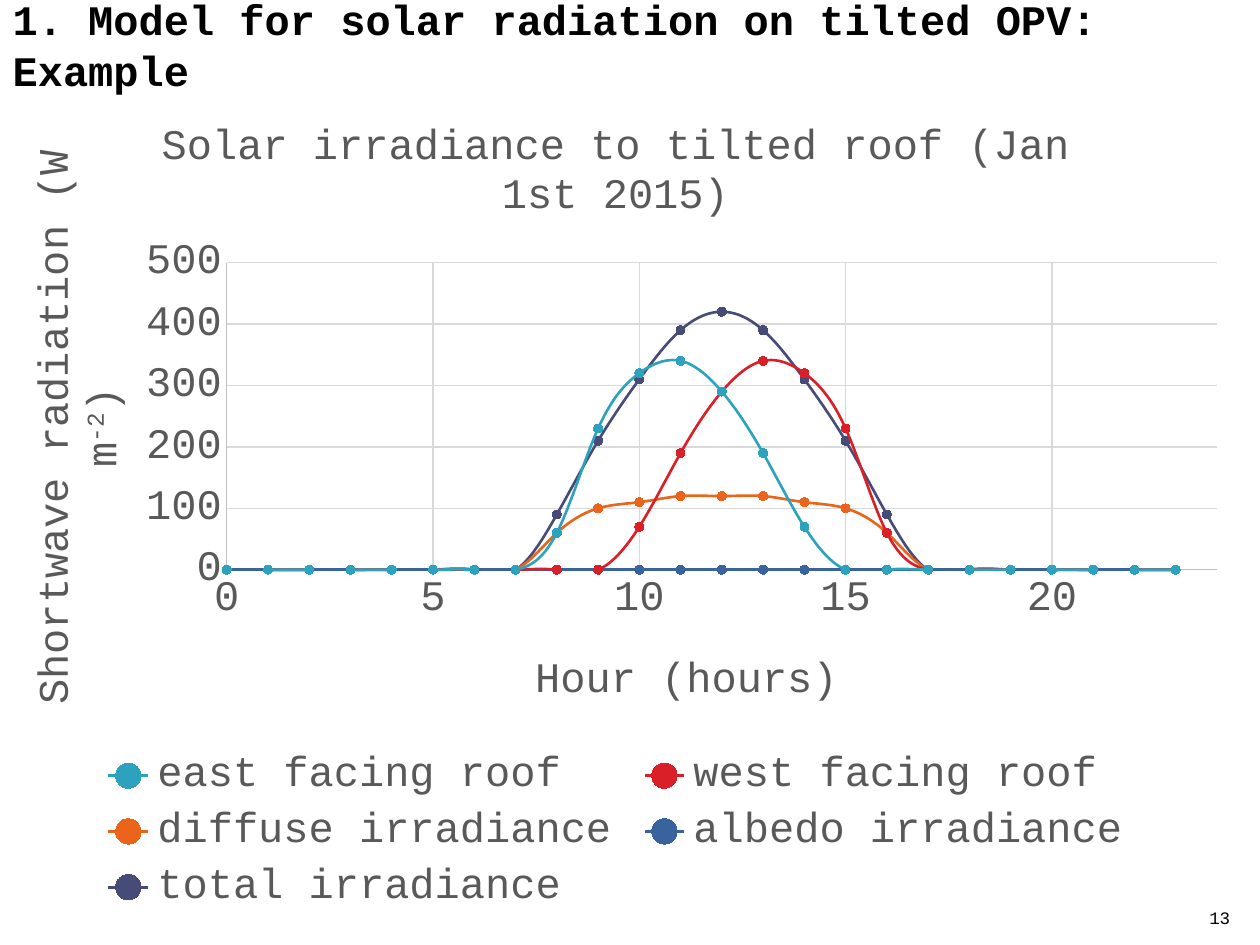
from lxml import etree
from pptx import Presentation
from pptx.chart.data import XyChartData
from pptx.dml.color import RGBColor
from pptx.enum import chart as ch, text
from pptx.oxml.ns import qn
from pptx.util import Cm, Pt

FONT = "Courier New"
GREY = "595959"


def style(font, size, colour, bold=False):
    font.name = FONT
    font.size = Pt(size)
    font.bold = bold
    font.color.rgb = RGBColor.from_string(colour)


def place(element, index, **fractions):
    """Give a chart part a manual layout, in fractions of the chart."""
    for old in element.findall(qn("c:layout")):
        element.remove(old)
    layout = etree.Element(qn("c:layout"))
    element.insert(index, layout)
    manual = etree.SubElement(layout, qn("c:manualLayout"))
    if element.tag == qn("c:plotArea"):
        etree.SubElement(manual, qn("c:layoutTarget"), val="inner")
    for side in "xy":
        etree.SubElement(manual, qn(f"c:{side}Mode"), val="edge")
    for key, value in fractions.items():
        etree.SubElement(manual, qn(f"c:{key}"), val=str(value))


prs = Presentation()
prs.slide_width, prs.slide_height = Cm(25.4), Cm(19.05)
slide = prs.slides.add_slide(prs.slide_layouts[5])

# Heading and page number
heading = slide.shapes.title
heading.left, heading.top, heading.width, heading.height = Cm(0), Cm(0), Cm(25.4), Cm(1.78)
heading.text_frame.text = "1. Model for solar radiation on tilted OPV: Example"
heading.text_frame.vertical_anchor = text.MSO_ANCHOR.MIDDLE
heading.text_frame.auto_size = text.MSO_AUTO_SIZE.NONE
heading.text_frame.paragraphs[0].alignment = text.PP_ALIGN.LEFT
style(heading.text_frame.paragraphs[0].font, 24, "000000", bold=True)

page = slide.shapes.add_textbox(Cm(24.03), Cm(17.81), Cm(1.02), Cm(1.02)).text_frame
page.word_wrap = True
page.vertical_anchor = text.MSO_ANCHOR.BOTTOM
page.text = "13"
page.paragraphs[0].alignment = text.PP_ALIGN.RIGHT
style(page.paragraphs[0].font, 10, "000000")

# Hourly irradiance; every curve is zero outside its daylight hours
curves = [  # name, colour, first hour, values from that hour on
    ("east facing roof", "2DA2BF", 8, [60, 230, 320, 340, 290, 190, 70]),
    ("west facing roof", "DA1F28", 10, [70, 190, 290, 340, 320, 230, 60]),
    ("diffuse irradiance", "EB641B", 8, [60, 100, 110, 120, 120, 120, 110, 100, 60]),
    ("albedo irradiance", "39639D", 0, []),
    ("total irradiance", "474B78", 8, [90, 210, 310, 390, 420, 390, 310, 210, 90]),
]
data = XyChartData()
for name, _, first, daylight in curves:
    series = data.add_series(name)
    for hour in range(24):
        lit = first <= hour < first + len(daylight)
        series.add_data_point(hour, daylight[hour - first] if lit else 0)

chart = slide.shapes.add_chart(ch.XL_CHART_TYPE.XY_SCATTER_SMOOTH, Cm(-0.23), Cm(1.78),
                               Cm(25.27), Cm(16.74), data).chart
style(chart.font, 10, "000000")
chart.plots[0].vary_by_categories = False
for series, (_, colour, _, _) in zip(chart.plots[0].series, curves):
    rgb = RGBColor.from_string(colour)
    series._element.find(qn("c:smooth")).set("val", "1")
    series.format.line.color.rgb = rgb
    series.format.line.width = Pt(1.5)
    series.marker.style = ch.XL_MARKER_STYLE.CIRCLE
    series.marker.size = 5
    for part in (series.marker.format.fill, series.marker.format.line.fill):
        part.solid()
        part.fore_color.rgb = rgb

chart.has_title = True
chart.chart_title.text_frame.text = "Solar irradiance to tilted roof (Jan 1st 2015)"
style(chart.chart_title.text_frame.paragraphs[0].font, 24, GREY)
chart.chart_title.include_in_layout = False

# Axes: title runs, upper bound, step, title position
hours, radiation = chart.category_axis, chart.value_axis
for axis, words, top, step, x, y in [
    (hours, ["Hour (hours)"], 24, 5, 0.43, 0.67),
    (radiation, ["Shortwave radiation (W m", "-2", ")"], 500, 100, 0.03, 0.07),
]:
    axis.minimum_scale, axis.maximum_scale, axis.major_unit = 0, top, step
    axis.major_tick_mark = axis.minor_tick_mark = ch.XL_TICK_MARK.NONE
    axis.has_major_gridlines = True
    for line, colour in [(axis.format.line, "BFBFBF"),
                         (axis.major_gridlines.format.line, "D9D9D9")]:
        line.color.rgb = RGBColor.from_string(colour)
        line.width = Pt(0.75)
    style(axis.tick_labels.font, 24, GREY)
    axis.tick_labels.number_format = "General"
    axis.tick_labels.number_format_is_linked = False
    caption = axis.axis_title.text_frame.paragraphs[0]
    style(caption.font, 24, GREY)
    for word in words:
        run = caption.add_run()
        run.text = word
        style(run.font, 24, GREY)
        if word == "-2":
            run._r.get_or_add_rPr().set("baseline", "30000")
    place(axis.axis_title._element, 1, x=x, y=y)
body = radiation.axis_title.text_frame._txBody.find(qn("a:bodyPr"))
body.set("rot", "-5400000")
body.set("vert", "horz")

chart.has_legend = True
chart.legend.position = ch.XL_LEGEND_POSITION.BOTTOM
chart.legend.include_in_layout = False
style(chart.legend.font, 24, GREY)
place(chart.legend._element, 1, x=0.08, y=0.79, w=0.84, h=0.21)
place(chart._chartSpace.chart.plotArea, 0, x=0.19, y=0.21, w=0.79, h=0.37)

prs.save("out.pptx")
